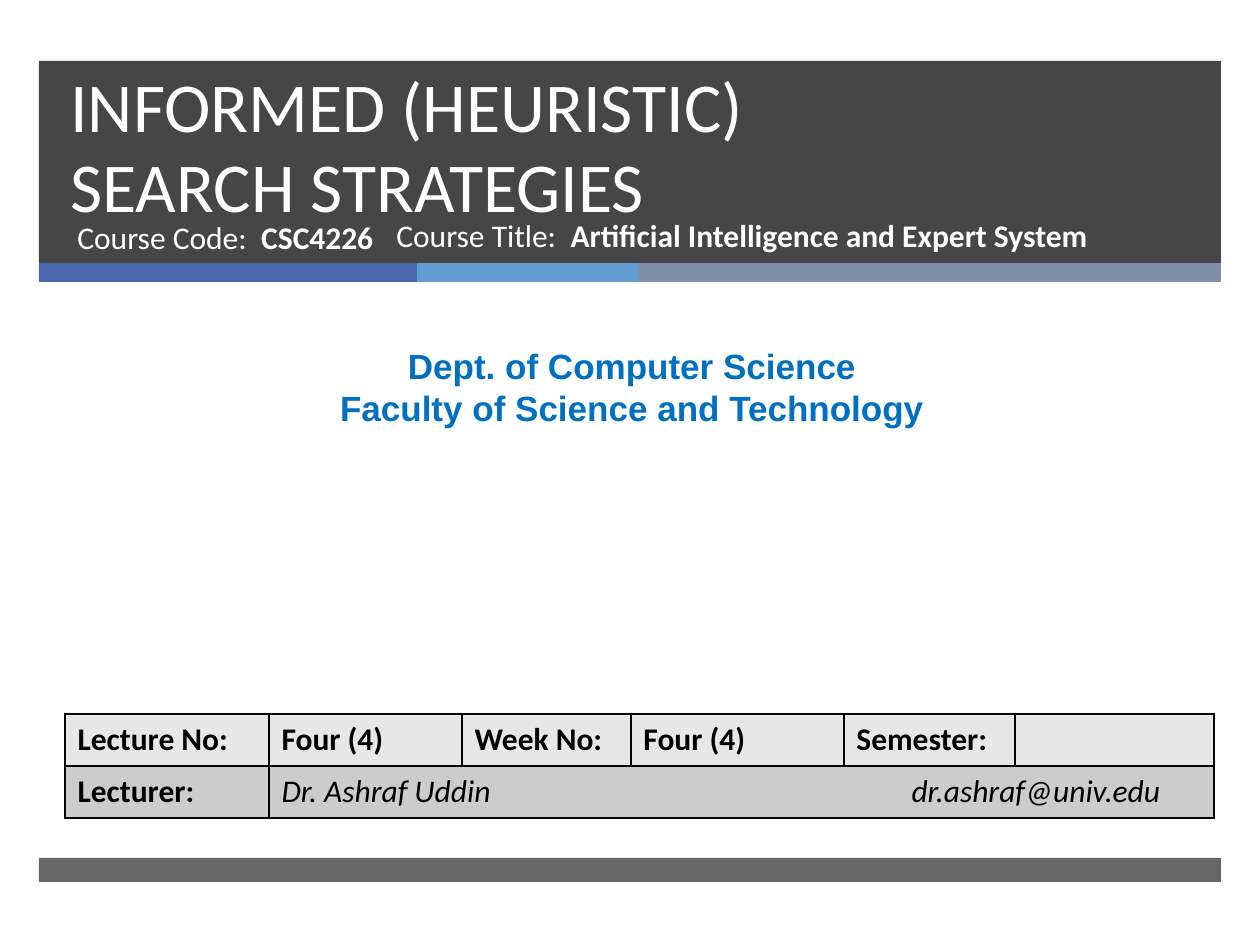
from lxml.etree import SubElement
from pptx import Presentation
from pptx.dml.color import RGBColor
from pptx.enum.shapes import MSO_SHAPE
from pptx.enum.text import MSO_ANCHOR, PP_ALIGN
from pptx.oxml.ns import qn
from pptx.util import Emu, Pt

EMU_PER_PX = 914400 / 126
WHITE = RGBColor(0xFF, 0xFF, 0xFF)
BLACK = RGBColor(0x00, 0x00, 0x00)
CHARCOAL = RGBColor(0x26, 0x26, 0x26)
DEPARTMENT_BLUE = RGBColor(0x00, 0x70, 0xC0)
STRIPE_BLUE = RGBColor(0x4A, 0x66, 0xAC)
STRIPE_SKY = RGBColor(0x62, 0x9D, 0xD1)
STRIPE_SLATE = RGBColor(0x7F, 0x8F, 0xA9)
ROW_LIGHT = RGBColor(0xE7, 0xE7, 0xE7)
ROW_DARK = RGBColor(0xCC, 0xCC, 0xCC)


def px(length):
    return Emu(round(length * EMU_PER_PX))


class LectureSlide:
    font_name = "Calibri"
    body_size = 18

    def __init__(self, presentation):
        self.slide = presentation.slides.add_slide(presentation.slide_layouts[6])

    def style(self, paragraph, color, size=body_size, bold=None, italic=None, name=font_name):
        font = paragraph.font
        font.name, font.size, font.bold, font.italic = name, Pt(size), bold, italic
        font.color.rgb = color

    def bar(self, left, top, width, height, color, opacity=100):
        shape = self.slide.shapes.add_shape(
            MSO_SHAPE.RECTANGLE, px(left), px(top), px(width), px(height))
        shape.shadow.inherit = False
        shape.line.fill.background()
        shape.fill.solid()
        shape.fill.fore_color.rgb = color
        if opacity < 100:
            color_element = shape._element.spPr.find(qn("a:solidFill"))[0]
            SubElement(color_element, qn("a:alpha"), val=str(opacity * 1000))

    def text_frame(self, left, top, width, height):
        frame = self.slide.shapes.add_textbox(
            px(left), px(top), px(width), px(height)).text_frame
        frame.word_wrap = True
        return frame

    def title(self, left, top, width, height, text):
        frame = self.text_frame(left, top, width, height)
        frame.vertical_anchor = MSO_ANCHOR.BOTTOM
        frame.text = text
        paragraph = frame.paragraphs[0]
        paragraph.line_spacing = Pt(46)
        self.style(paragraph, WHITE, size=40)

    def labelled_text(self, left, top, width, height, label, value):
        paragraph = self.text_frame(left, top, width, height).paragraphs[0]
        self.style(paragraph, WHITE)
        paragraph.add_run().text = label
        run = paragraph.add_run()
        run.text = value
        run.font.bold = True

    def centred_lines(self, left, top, width, height, lines):
        frame = self.text_frame(left, top, width, height)
        frame.text = "\n".join(lines)
        for paragraph in frame.paragraphs:
            paragraph.alignment = PP_ALIGN.CENTER
            self.style(paragraph, DEPARTMENT_BLUE, size=20, bold=True, name="Arial")

    def border(self, cell):
        properties = cell._tc.get_or_add_tcPr()
        for position, side in enumerate(("lnL", "lnR", "lnT", "lnB")):
            line = SubElement(properties, qn(f"a:{side}"), w=str(Pt(1)))
            fill = SubElement(line, qn("a:solidFill"))
            SubElement(fill, qn("a:srgbClr"), val=str(BLACK))
            properties.insert(position, line)

    def table(self, left, top, column_widths, row_height, rows, fills):
        table = self.slide.shapes.add_table(
            len(rows), len(column_widths), px(left), px(top),
            px(sum(column_widths)), px(row_height * len(rows))).table
        for column, width in zip(table.columns, column_widths):
            column.width = px(width)
        for row, texts, color in zip(table.rows, rows, fills):
            row.height = px(row_height)
            for index, cell in enumerate(row.cells):
                cell.fill.solid()
                cell.fill.fore_color.rgb = color
                self.border(cell)
                if index < len(texts):
                    cell.text = texts[index]
                    self.style(cell.text_frame.paragraphs[0], BLACK, bold=True)
        return table

    def contact_cell(self, cell, tab_position):
        """Set the cell in italics, with a tab stop for the address."""
        paragraph = cell.text_frame.paragraphs[0]
        self.style(paragraph, BLACK, bold=False, italic=True)
        properties = paragraph._p.get_or_add_pPr()
        tabs = SubElement(properties, qn("a:tabLst"))
        SubElement(tabs, qn("a:tab"), pos=str(px(tab_position)), algn="l")
        properties.find(qn("a:defRPr")).addprevious(tabs)


def main():
    presentation = Presentation()
    presentation.slide_width, presentation.slide_height = px(1260), px(945)
    slide = LectureSlide(presentation)

    slide.bar(39, 61, 1182, 202, CHARCOAL, opacity=85)
    stripe_left = 39
    for width, color in ((378, STRIPE_BLUE), (221, STRIPE_SKY), (583, STRIPE_SLATE)):
        slide.bar(stripe_left, 263, width, 19, color)
        stripe_left += width
    slide.bar(39, 858, 1182, 24, CHARCOAL, opacity=70)

    slide.title(58, 83, 1076, 150, "INFORMED (HEURISTIC) \vSEARCH STRATEGIES")
    slide.labelled_text(65, 212, 384, 67, "Course Code:  ", "CSC4226")
    slide.centred_lines(10, 338, 1244, 97, [
        "Dept. of Computer Science", "Faculty of Science and Technology"])
    table = slide.table(
        65, 714, [204, 193, 169, 213, 171, 199], 52,
        [["Lecture No:", "Four (4)", "Week No:", "Four (4)", "Semester:", ""],
         ["Lecturer:", "Dr. Ashraf Uddin\tdr.ashraf@univ.edu"]],
        [ROW_LIGHT, ROW_DARK])
    lecturer = table.cell(1, 1)
    lecturer.merge(table.cell(1, 5))
    slide.contact_cell(lecturer, 630)
    slide.labelled_text(384, 210, 721, 67, "Course Title:  ",
                        "Artificial Intelligence and Expert System")

    presentation.save("out.pptx")


if __name__ == "__main__":
    main()
